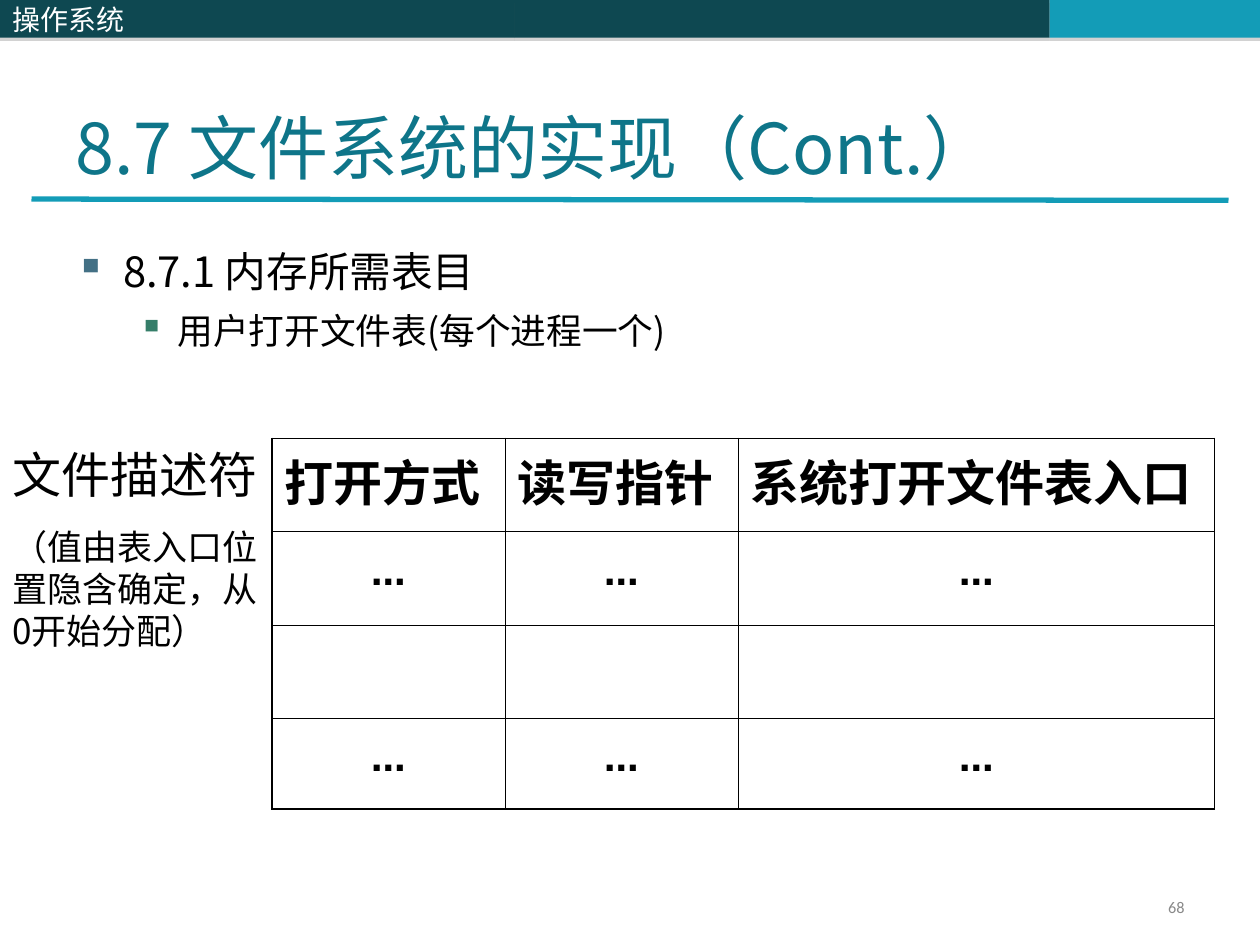
from pptx import Presentation
from pptx.dml.color import RGBColor
from pptx.enum.shapes import MSO_CONNECTOR, MSO_SHAPE
from pptx.enum.text import MSO_ANCHOR, MSO_AUTO_SIZE, PP_ALIGN
from pptx.oxml import parse_xml
from pptx.oxml.ns import nsdecls, qn
from pptx.util import Inches, Pt

RECT = MSO_SHAPE.RECTANGLE
STRAIGHT = MSO_CONNECTOR.STRAIGHT
MIDDLE, BOTTOM = MSO_ANCHOR.MIDDLE, MSO_ANCHOR.BOTTOM
CENTER, RIGHT, LEFT = PP_ALIGN.CENTER, PP_ALIGN.RIGHT, PP_ALIGN.LEFT
FIT_SHAPE, NO_FIT = MSO_AUTO_SIZE.SHAPE_TO_FIT_TEXT, MSO_AUTO_SIZE.NONE

DARK_TEAL = RGBColor(0x0E, 0x48, 0x51)
TEAL = RGBColor(0x13, 0x9C, 0xB7)
TITLE_TEAL = RGBColor(0x0E, 0x75, 0x89)
GREY = RGBColor(0x89, 0x89, 0x89)
BLACK = RGBColor(0, 0, 0)
WHITE = RGBColor(0xFF, 0xFF, 0xFF)
CJK = "Noto Sans CJK SC"


def add_run(p, text, size, color=BLACK, font=CJK, bold=False):
    r = p.add_run()
    r.text = text
    r.font.size = Pt(size)
    r.font.name = font
    r.font.bold = bold
    r.font.color.rgb = color
    ea = r._r.get_or_add_rPr().makeelement(qn("a:ea"), {"typeface": CJK})
    r.font._element.find(qn("a:latin")).addnext(ea)


def add_text_box(left, top, width, height):
    tf = s.shapes.add_textbox(Inches(left), Inches(top), Inches(width), Inches(height)).text_frame
    tf.word_wrap = True
    return tf


prs = Presentation()
prs.slide_width, prs.slide_height = Inches(10), Inches(7.5)
s = prs.slides.add_slide(prs.slide_layouts[5])

# Header band
for left, width, color, label in [
    (4.08, 4.25, DARK_TEAL, ""),
    (8.33, 1.67, TEAL, ""),
    (0, 4.08, DARK_TEAL, "操作系统"),
]:
    sp = s.shapes.add_shape(RECT, Inches(left), 0, Inches(width), Inches(0.3))
    sp.fill.solid()
    sp.fill.fore_color.rgb = color
    sp.line.fill.background()
    sp._element.spPr.append(parse_xml(
        f'<a:effectLst {nsdecls("a")}><a:outerShdw dist="22860" dir="5400000">'
        '<a:srgbClr val="808080"><a:alpha val="35000"/></a:srgbClr>'
        '</a:outerShdw></a:effectLst>'))
    if label:
        tf = sp.text_frame
        tf.vertical_anchor = MIDDLE
        tf.paragraphs[0].alignment = LEFT
        add_run(tf.paragraphs[0], label, 16, WHITE)

# Title and its rule
title = s.shapes.title
title.left, title.top, title.width, title.height = (Inches(v) for v in (0.5, 0.25, 8.52, 1.25))
tf = title.text_frame
tf.auto_size = NO_FIT
tf.vertical_anchor = BOTTOM
tf.margin_bottom = 0
tf.paragraphs[0].alignment = LEFT
add_run(tf.paragraphs[0], "8.7 文件系统的实现（Cont.）", 40, TITLE_TEAL)

rule = s.shapes.add_connector(STRAIGHT, Inches(0.25), Inches(1.58), Inches(9.75), Inches(1.59))
rule.line.color.rgb = TEAL
rule.line.width = Pt(3)
rule._element.spPr.append(parse_xml(f'<a:effectLst {nsdecls("a")}/>'))

# Bulleted outline
tf = add_text_box(0.5, 1.78, 7.96, 0.99)
for level, (text, size, margin, hang, bullet_color) in enumerate([
    ("8.7.1 内存所需表目", 23.8, 0.38, 0.38, "437085"),
    ("用户打开文件表(每个进程一个)", 20.4, 0.81, 0.31, "357E69"),
]):
    p = tf.add_paragraph() if level else tf.paragraphs[0]
    p.level = level
    p.line_spacing = 1.3
    pPr = p._p.get_or_add_pPr()
    pPr.set("marL", str(Inches(margin)))
    pPr.set("indent", str(-Inches(hang)))
    pPr.append(parse_xml(f'<a:buClr {nsdecls("a")}><a:srgbClr val="{bullet_color}"/></a:buClr>'))
    pPr.append(parse_xml(f'<a:buChar {nsdecls("a")} char="▪"/>'))
    add_run(p, text, size)

# Open file table
rows = [
    ["打开方式", "读写指针", "系统打开文件表入口"],
    ["…"] * 3,
    [""] * 3,
    ["…"] * 3,
]
col_widths = [1.85, 1.85, 3.78]
row_heights = [0.74, 0.74, 0.74, 0.72]
table = s.shapes.add_table(len(rows), len(col_widths), Inches(2.16), Inches(3.48),
                           Inches(sum(col_widths)), Inches(sum(row_heights))).table
table.first_row = table.horz_banding = False
for col, width in zip(table.columns, col_widths):
    col.width = Inches(width)
for row, height in zip(table.rows, row_heights):
    row.height = Inches(height)
last_row, last_col = len(rows) - 1, len(col_widths) - 1
for i, texts in enumerate(rows):
    for j, text in enumerate(texts):
        cell = table.cell(i, j)
        outer_edges = {"lnL": j == 0, "lnR": j == last_col, "lnT": i == 0, "lnB": i == last_row}
        for tag, is_outer in outer_edges.items():
            cell._tc.get_or_add_tcPr().append(parse_xml(
                f'<a:{tag} {nsdecls("a")} w="{Pt(1.08 if is_outer else 0.45)}"><a:solidFill>'
                f'<a:srgbClr val="{BLACK}"/></a:solidFill></a:{tag}>'))
        cell.fill.background()
        if text:
            p = cell.text_frame.paragraphs[0]
            p.alignment = CENTER if i else LEFT
            add_run(p, text, 28, font="Cabin", bold=True)

# Note beside the table
tf = add_text_box(0, 3.48, 2.16, 1.74)
tf.auto_size = FIT_SHAPE
add_run(tf.paragraphs[0], "文件描述符", 28)
p = tf.add_paragraph()
p.space_before = Pt(12.5)
add_run(p, "（值由表入口位置隐含确定，从0开始分配）", 20)

# Slide number
tf = add_text_box(7.17, 7.08, 2.33, 0.27)
tf.vertical_anchor = MIDDLE
p = tf.paragraphs[0]
p.alignment = RIGHT
p.line_spacing = 0.8
add_run(p, "68", 9.3, GREY, "Calibri")

prs.save("out.pptx")
